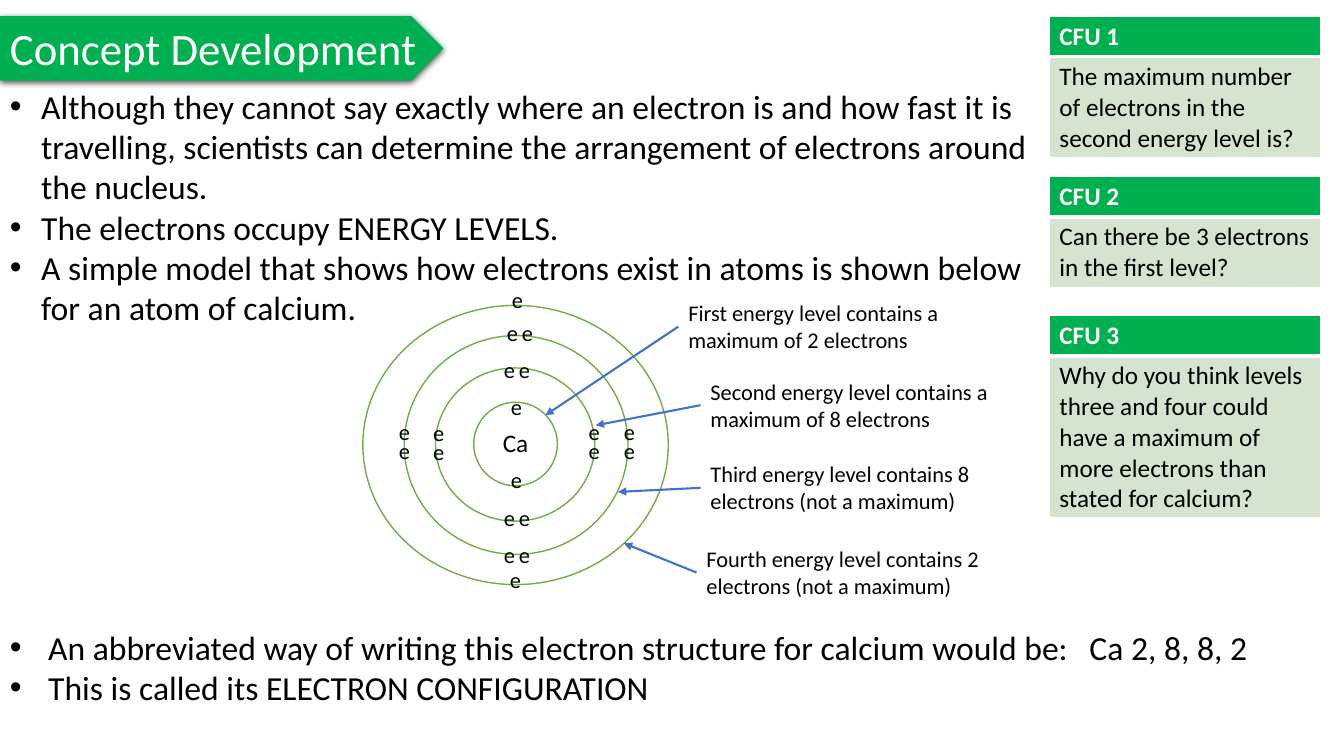
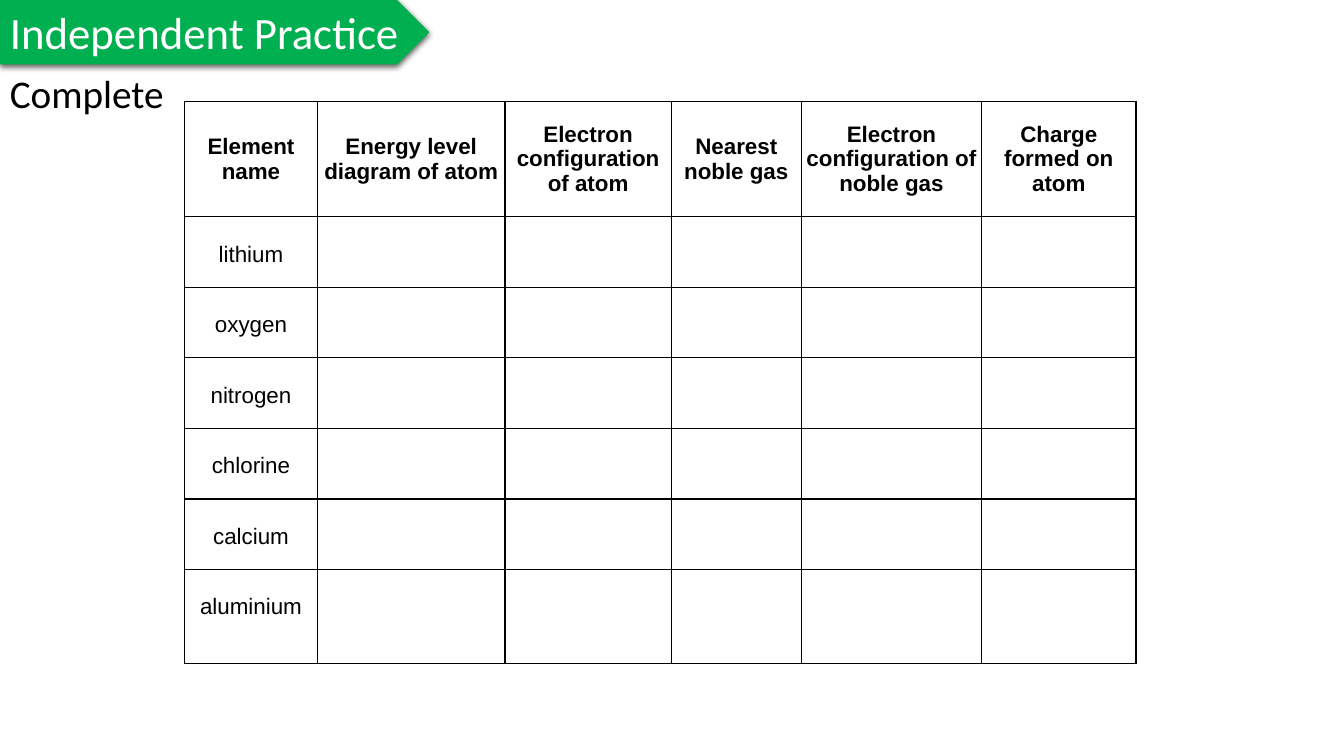
"""Build two chemistry lesson slides about electron energy levels."""
from lxml import etree
from pptx import Presentation
from pptx.dml.color import RGBColor
from pptx.enum.shapes import MSO_CONNECTOR, MSO_SHAPE
from pptx.enum.text import MSO_ANCHOR, MSO_AUTO_SIZE, PP_ALIGN
from pptx.oxml.ns import qn
from pptx.util import Inches, Pt

STRAIGHT = MSO_CONNECTOR.STRAIGHT
PENTAGON, OVAL = MSO_SHAPE.PENTAGON, MSO_SHAPE.OVAL
TOP, MIDDLE = MSO_ANCHOR.TOP, MSO_ANCHOR.MIDDLE
FIT_SHAPE = MSO_AUTO_SIZE.SHAPE_TO_FIT_TEXT
LEFT, CENTER = PP_ALIGN.LEFT, PP_ALIGN.CENTER

GRID = Inches(0.1)
PAGE_COLUMNS, PAGE_ROWS = 133.33, 75
BODY_FONT, TABLE_FONT = "Calibri", "Arial"
COLORS = {
    "black": "000000",
    "white": "FFFFFF",
    "banner": "00B050",
    "question": "D5E3CF",
    "ring": "70AD47",
    "arrow": "4472C4",
}

CONCEPTS = [
    "Although they cannot say exactly where an electron is and how fast it is travelling, "
    "scientists can determine the arrangement of electrons around the nucleus.",
    "The electrons occupy ENERGY LEVELS.",
    "A simple model that shows how electrons exist in atoms is shown below for an atom of calcium.",
]
SUMMARY = [
    "An abbreviated way of writing this electron structure for calcium would be:\tCa 2, 8, 8, 2",
    "This is called its ELECTRON CONFIGURATION",
]
QUESTIONS = [
    (1.6, 14, "The maximum number of electrons in the second energy level is?"),
    (17.5, 11, "Can there be 3 electrons in the first level?"),
    (31.3, 20, "Why do you think levels three and four could have a maximum of "
               "more electrons than stated for calcium?"),
]
RINGS = [
    (36, 30.3, 30.3, 27.7),
    (40.1, 33.3, 22.2, 21.7),
    (43.2, 36.5, 15.8, 15.2),
    (47, 39.9, 8.3, 8.3),
]
SINGLE_ELECTRONS = [(49.7, 38.5), (49.7, 45.8), (49.8, 27.9), (49.6, 55.7)]
SIDE_BY_SIDE_PAIRS = [(49, 34.8), (49, 49.5), (49.3, 31.2), (49, 53.2)]
STACKED_PAIRS = [(42, 41.1), (38.6, 41), (57.4, 41), (60.9, 41)]
CALLOUTS = [
    (67.3, 29.2, "First energy level contains a maximum of 2 electrons", (54.1, 41.2)),
    (69.5, 37, "Second energy level contains a maximum of 8 electrons", (59.1, 42.2)),
    (69.5, 45.2, "Third energy level contains 8 electrons (not a maximum)", (61.3, 48.8)),
    (69.1, 53.6, "Fourth energy level contains 2 electrons (not a maximum)", (61.9, 53.9)),
]
HEADINGS = [
    "Element name", "Energy level diagram of atom", "Electron configuration of atom",
    "Nearest noble gas", "Electron configuration of noble gas", "Charge formed on atom",
]
ELEMENTS = ["lithium", "oxygen", "nitrogen", "chlorine", "calcium", "aluminium"]
ELEMENT_COLUMNS = [13.2, 18.6, 16.5, 12.9, 17.9, 15.3]
ELEMENT_ROWS = [11.4] + [7] * 5 + [9.3]


def grid(*lengths):
    """Turn grid units into slide lengths."""
    return [int(length * GRID) for length in lengths]


def rgb(name):
    """Look up a colour by name."""
    return RGBColor.from_string(COLORS[name])


def add_element(parent, tag, **attributes):
    """Append a DrawingML element."""
    element = etree.SubElement(parent, qn(tag))
    for name, value in attributes.items():
        element.set(name, str(value))
    return element


def style_text(frame, size, color="black", font=BODY_FONT, bold=False, align=LEFT):
    """Format every run of a text frame."""
    for para in frame.paragraphs:
        para.alignment = align
        for span in para.runs:
            span.font.size = Pt(size)
            span.font.name = font
            span.font.bold = bold
            span.font.color.rgb = rgb(color)


def add_text(page, area, text, size):
    """Place a wrapping text box."""
    box = page.shapes.add_textbox(*grid(*area))
    box.text_frame.word_wrap = True
    box.text_frame.text = text
    style_text(box.text_frame, size)
    return box


def add_bullets(page, area, lines, indent, tab=None):
    """Place a bulleted list, with an optional tab stop."""
    box = add_text(page, area, "\n".join(lines), 24)
    hang = grid(indent)[0]
    for para in box.text_frame.paragraphs:
        properties = para._p.get_or_add_pPr()
        properties.set("marL", str(hang))
        properties.set("indent", str(-hang))
        add_element(properties, "a:buFont", typeface="Arial")
        add_element(properties, "a:buChar", char="•")
        if tab:
            stops = add_element(properties, "a:tabLst")
            add_element(stops, "a:tab", pos=grid(tab)[0], algn="l")


def add_banner(page, title, top, width):
    """Draw the shadowed title banner."""
    banner = page.shapes.add_shape(PENTAGON, *grid(0, top, width, 6.4))
    banner.fill.solid()
    banner.fill.fore_color.rgb = rgb("banner")
    banner.line.fill.background()
    banner.shadow.inherit = False
    effects = banner._element.spPr.find(qn("a:effectLst"))
    shadow = add_element(effects, "a:outerShdw", blurRad=Pt(4.5), dist=Pt(1.5),
                         dir=5400000, algn="ctr", rotWithShape=0)
    shade = add_element(shadow, "a:srgbClr", val=COLORS["black"])
    add_element(shade, "a:alpha", val=63000)
    frame = banner.text_frame
    frame.word_wrap = False
    frame.auto_size = FIT_SHAPE
    frame.vertical_anchor = TOP
    frame.text = title
    style_text(frame, 32, "white")


def add_ring(page, area):
    """Draw one energy level."""
    ring = page.shapes.add_shape(OVAL, *grid(*area))
    ring.shadow.inherit = False
    ring.fill.solid()
    ring.fill.fore_color.rgb = rgb("white")
    ring.line.color.rgb = rgb("ring")
    ring.line.width = Pt(1)


def add_callout(page, left, top, text, target):
    """Place a label and an arrow from its left edge to an energy level."""
    add_text(page, (left, top, 32.1, 6.4), text, 16)
    arrow = page.shapes.add_connector(STRAIGHT, *grid(left, top + 3.2, *target))
    arrow.line.color.rgb = rgb("arrow")
    arrow.line.width = Pt(1.5)
    add_element(arrow.line._get_or_add_ln(), "a:tailEnd", type="triangle")
    add_element(arrow._element.spPr, "a:effectLst")


def add_plain_table(page, left, top, columns, rows):
    """Add a table without banding and with sized columns and rows."""
    area = grid(left, top, sum(columns), sum(rows))
    table = page.shapes.add_table(len(rows), len(columns), *area).table
    table.first_row = table.horz_banding = False
    for column, width in zip(table.columns, grid(*columns)):
        column.width = width
    for row, height in zip(table.rows, grid(*rows)):
        row.height = height
    return table


def set_borders(cell, color, left=1, right=1, top=1, bottom=1):
    """Outline a cell with the given widths."""
    properties = cell._tc.get_or_add_tcPr()
    for side, width in zip("LRTB", (left, right, top, bottom)):
        line = add_element(properties, f"a:ln{side}", w=Pt(width))
        fill = add_element(line, "a:solidFill")
        add_element(fill, "a:srgbClr", val=COLORS[color])


def add_question(page, number, top, height, question):
    """Add a headed question panel in the right column."""
    table = add_plain_table(page, 104.1, top, [26.9], [4, height - 4])
    header, body = table.cell(0, 0), table.cell(1, 0)
    set_borders(header, "white", bottom=3)
    set_borders(body, "white", top=3)
    for cell, text, fill, ink in ((header, f"CFU {number}", "banner", "white"),
                                  (body, question, "question", "black")):
        cell.fill.solid()
        cell.fill.fore_color.rgb = rgb(fill)
        cell.text = text
        style_text(cell.text_frame, 18, ink, bold=cell is header)


def add_electrons(page):
    """Place the single and paired electrons around the nucleus."""
    places = list(SINGLE_ELECTRONS)
    for left, top in SIDE_BY_SIDE_PAIRS:
        places += [(left, top), (left + 1.5, top)]
    for left, top in STACKED_PAIRS:
        places += [(left, top), (left, top + 1.9)]
    for left, top in places:
        add_text(page, (left, top, 3, 3.7), "e", 16)


def add_element_table(page):
    """Add the worksheet table, one row for each element."""
    table = add_plain_table(page, 18.3, 10.1, ELEMENT_COLUMNS, ELEMENT_ROWS)
    for cell in table.iter_cells():
        set_borders(cell, "black")
        cell.fill.background()
        cell.margin_left = cell.margin_right = grid(0.4)[0]
        cell.margin_top = cell.margin_bottom = 0
    for column, heading in enumerate(HEADINGS):
        cell = table.cell(0, column)
        cell.text = heading
        cell.vertical_anchor = MIDDLE
        style_text(cell.text_frame, 16, font=TABLE_FONT, bold=True, align=CENTER)
    for row, name in enumerate(ELEMENTS, start=1):
        cell = table.cell(row, 0)
        cell.text = name
        cell.margin_top = grid(2.5)[0]
        style_text(cell.text_frame, 16, font=TABLE_FONT, align=CENTER)


def build_concept_page(page):
    """Build the energy level explanation."""
    add_banner(page, "Concept Development", 1.6, 44)
    for number, question in enumerate(QUESTIONS, start=1):
        add_question(page, number, *question)
    add_bullets(page, (0, 8, 104.1, 25.2), CONCEPTS, 3.1)
    add_bullets(page, (0, 61.7, 129.3, 9.1), SUMMARY, 3.8, tab=107.1)
    for area in RINGS:
        add_ring(page, area)
    add_text(page, (48.9, 41.9, 6, 4), "Ca", 18)
    add_electrons(page)
    for callout in CALLOUTS:
        add_callout(page, *callout)


def build_practice_page(page):
    """Build the worksheet."""
    add_banner(page, "Independent Practice", 0, 42.6)
    add_text(page, (0, 6.4, 56, 5.7), "Complete", 28)
    add_element_table(page)


def main():
    """Create and save the deck."""
    deck = Presentation()
    deck.slide_width, deck.slide_height = grid(PAGE_COLUMNS, PAGE_ROWS)
    blank = deck.slide_layouts[6]
    for build in (build_concept_page, build_practice_page):
        build(deck.slides.add_slide(blank))
    deck.save("out.pptx")


if __name__ == "__main__":
    main()
